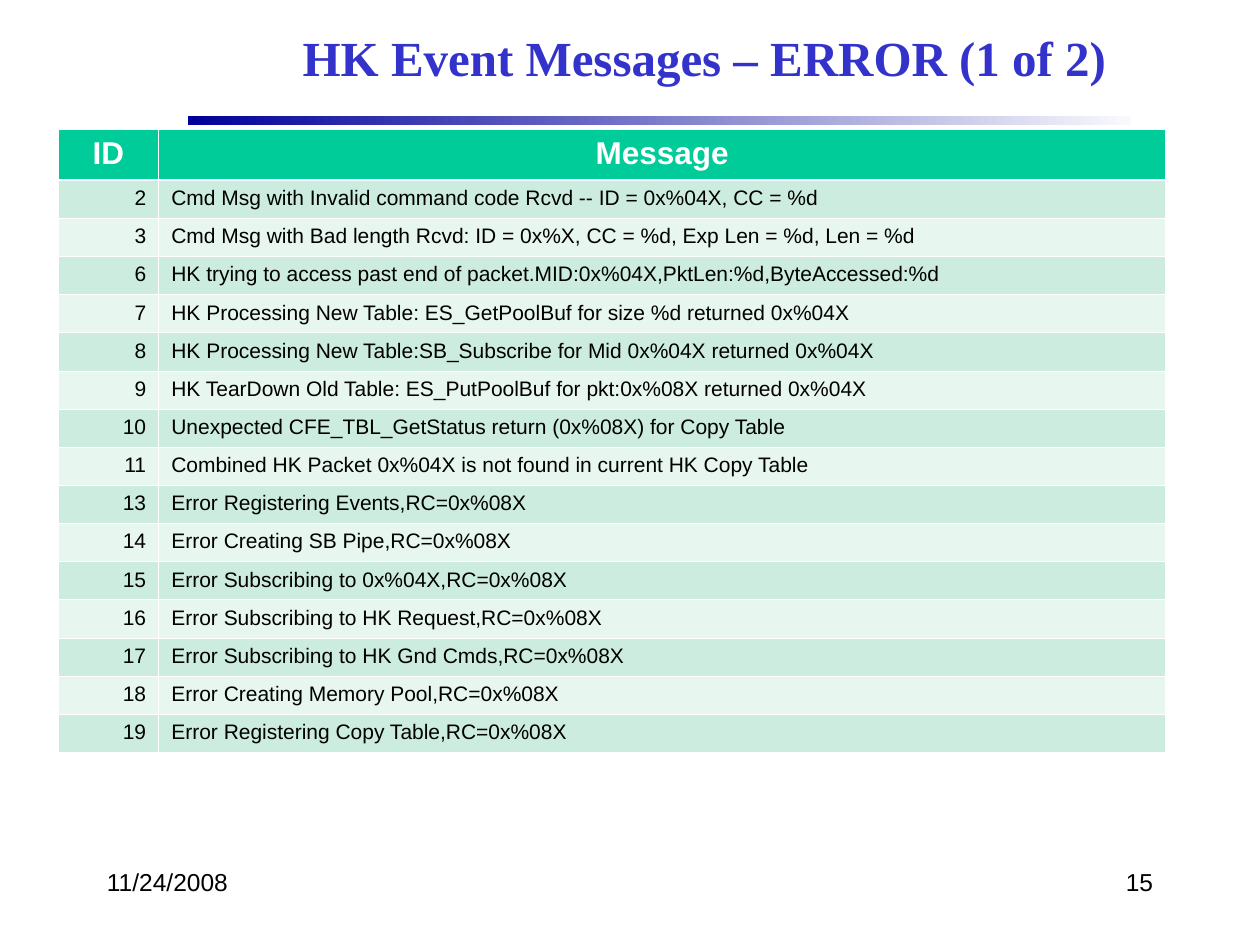
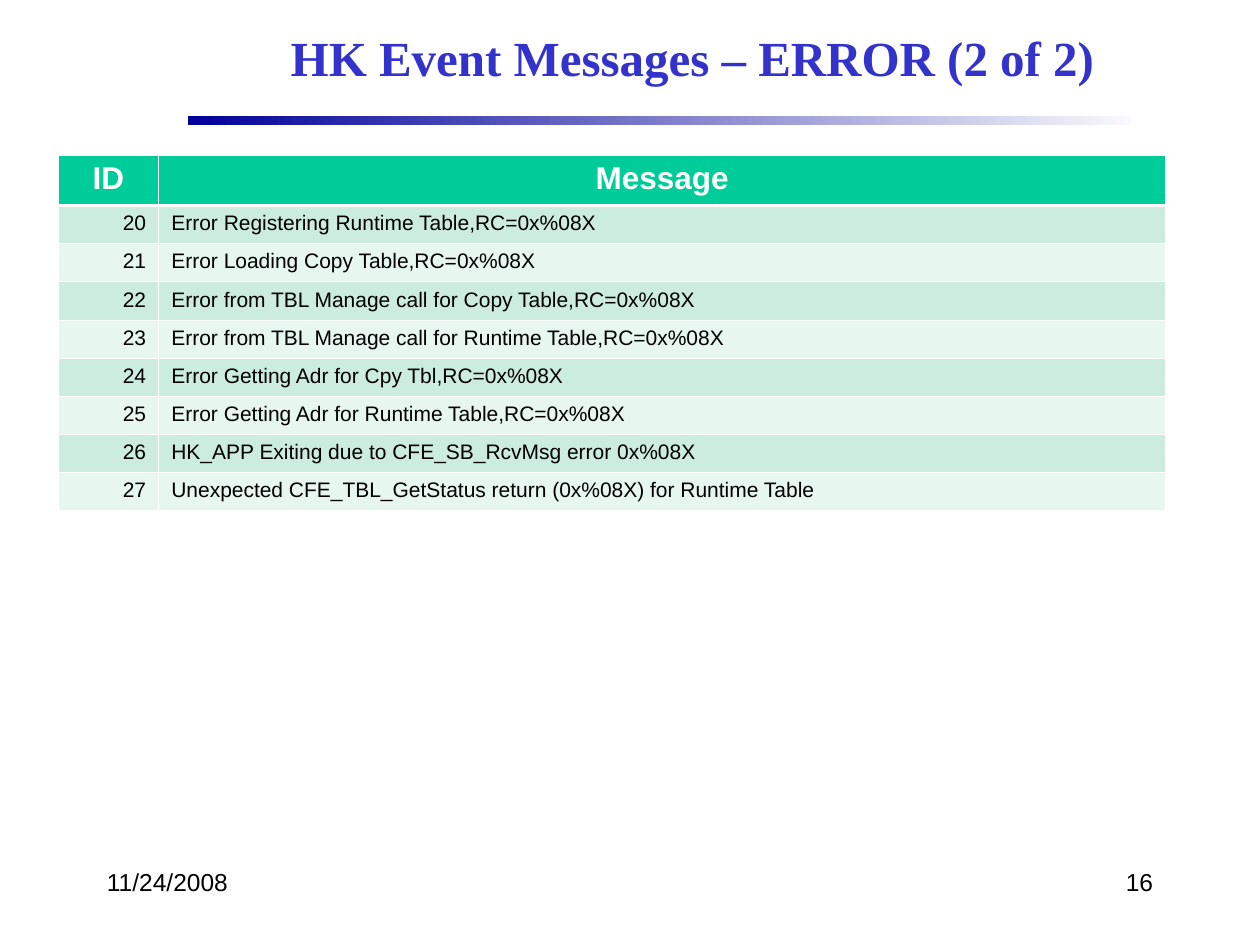
from lxml.etree import SubElement
from pptx import Presentation
from pptx.dml.color import RGBColor
from pptx.enum.shapes import MSO_SHAPE
from pptx.enum.text import MSO_ANCHOR, PP_ALIGN
from pptx.oxml.ns import qn
from pptx.util import Inches, Pt

DATE = "11/24/2008"
HEADINGS = ("ID", "Message")
# Title box and table top are in inches
PAGES = [
    {
        "title": "HK Event Messages – ERROR (1 of 2)",
        "title_left": 2.21, "title_width": 6.76, "table_top": 1.03,
        "number": 15,
        "messages": [
            (2, "Cmd Msg with Invalid command code Rcvd -- ID = 0x%04X, CC = %d"),
            (3, "Cmd Msg with Bad length Rcvd: ID = 0x%X, CC = %d, Exp Len = %d, Len = %d"),
            (6, "HK trying to access past end of packet.MID:0x%04X,PktLen:%d,ByteAccessed:%d"),
            (7, "HK Processing New Table: ES_GetPoolBuf for size %d returned 0x%04X"),
            (8, "HK Processing New Table:SB_Subscribe for Mid 0x%04X returned 0x%04X"),
            (9, "HK TearDown Old Table: ES_PutPoolBuf for pkt:0x%08X returned 0x%04X"),
            (10, "Unexpected CFE_TBL_GetStatus return (0x%08X) for Copy Table"),
            (11, "Combined HK Packet 0x%04X is not found in current HK Copy Table"),
            (13, "Error Registering Events,RC=0x%08X"),
            (14, "Error Creating SB Pipe,RC=0x%08X"),
            (15, "Error Subscribing to 0x%04X,RC=0x%08X"),
            (16, "Error Subscribing to HK Request,RC=0x%08X"),
            (17, "Error Subscribing to HK Gnd Cmds,RC=0x%08X"),
            (18, "Error Creating Memory Pool,RC=0x%08X"),
            (19, "Error Registering Copy Table,RC=0x%08X"),
        ],
    },
    {
        "title": "HK Event Messages – ERROR (2 of 2)",
        "title_left": 1.91, "title_width": 7.17, "table_top": 1.23,
        "number": 16,
        "messages": [
            (20, "Error Registering Runtime Table,RC=0x%08X"),
            (21, "Error Loading Copy Table,RC=0x%08X"),
            (22, "Error from TBL Manage call for Copy Table,RC=0x%08X"),
            (23, "Error from TBL Manage call for Runtime Table,RC=0x%08X"),
            (24, "Error Getting Adr for Cpy Tbl,RC=0x%08X"),
            (25, "Error Getting Adr for Runtime Table,RC=0x%08X"),
            (26, "HK_APP Exiting due to CFE_SB_RcvMsg error 0x%08X"),
            (27, "Unexpected CFE_TBL_GetStatus return (0x%08X) for Runtime Table"),
        ],
    },
]

WHITE = RGBColor(0xFF, 0xFF, 0xFF)
BLACK = RGBColor(0x00, 0x00, 0x00)
TITLE_BLUE = RGBColor(0x33, 0x33, 0xCC)
BAND_COLOURS = (RGBColor(0x00, 0x00, 0x99), RGBColor(0xF9, 0xF9, 0xFD))
HEADING_GREEN = RGBColor(0x00, 0xCC, 0x99)
ROW_GREENS = (RGBColor(0xCB, 0xEC, 0xDE), RGBColor(0xE7, 0xF6, 0xEF))

TITLE_FONT = {"name": "Times New Roman", "size": Pt(28), "bold": True}
FOOTER_FONT = {"name": "Arial", "size": Pt(14), "bold": False}
HEADING_FONT = {"name": "Arial", "size": Pt(18), "bold": True}
MESSAGE_FONT = {"name": "Arial", "size": Pt(12), "bold": False}

TABLE_LEFT = 0.46
COLUMN_WIDTHS = (0.8, 7.99)
HEADING_HEIGHT = Inches(0.4)
MESSAGE_HEIGHT = Pt(21.8)
THIN, THICK = Pt(0.45), Pt(1.47)


def write(frame, text, font, colour, align, anchor=MSO_ANCHOR.TOP):
    frame.word_wrap = True
    frame.vertical_anchor = anchor
    paragraph = frame.paragraphs[0]
    paragraph.alignment = align
    run = paragraph.add_run()
    run.text = text
    for attribute, value in font.items():
        setattr(run.font, attribute, value)
    run.font.color.rgb = colour


def add_text(slide, box, *style):
    write(slide.shapes.add_textbox(*map(Inches, box)).text_frame, *style)


def add_band(slide):
    band = slide.shapes.add_shape(
        MSO_SHAPE.RECTANGLE, *map(Inches, (1.49, 0.92, 7.49, 0.07)))
    band.shadow.inherit = False
    band.line.fill.background()
    band.fill.gradient()
    band.fill.gradient_angle = 0
    for position, (stop, colour) in enumerate(zip(band.fill.gradient_stops, BAND_COLOURS)):
        stop.position = position
        stop.color.rgb = colour


def set_borders(cell, top, bottom):
    properties = cell._tc.get_or_add_tcPr()
    for side, width in (("L", THIN), ("R", THIN), ("T", top), ("B", bottom)):
        line = SubElement(properties, qn(f"a:ln{side}"), w=str(int(width)))
        solid = SubElement(line, qn("a:solidFill"))
        SubElement(solid, qn("a:srgbClr"), val=str(WHITE))


def add_message_table(slide, top, messages):
    rows = [HEADINGS, *messages]
    heights = [HEADING_HEIGHT] + [MESSAGE_HEIGHT] * len(messages)
    table = slide.shapes.add_table(
        len(rows), len(HEADINGS), Inches(TABLE_LEFT), Inches(top),
        Inches(sum(COLUMN_WIDTHS)), sum(heights)).table
    for column, width in zip(table.columns, COLUMN_WIDTHS):
        column.width = Inches(width)
    for index, (row, height, entries) in enumerate(zip(table.rows, heights, rows)):
        row.height = height
        if index == 0:
            font, colour, fill = HEADING_FONT, WHITE, HEADING_GREEN
            aligns = (PP_ALIGN.CENTER, PP_ALIGN.CENTER)
        else:
            font, colour, fill = MESSAGE_FONT, BLACK, ROW_GREENS[(index - 1) % 2]
            aligns = (PP_ALIGN.RIGHT, PP_ALIGN.LEFT)
        for cell, entry, align in zip(row.cells, entries, aligns):
            set_borders(cell, THICK if index == 1 else THIN, THICK if index == 0 else THIN)
            cell.fill.solid()
            cell.fill.fore_color.rgb = fill
            write(cell.text_frame, str(entry), font, colour, align)


def main():
    deck = Presentation()
    deck.slide_width, deck.slide_height = Inches(10), Inches(7.5)
    blank = deck.slide_layouts[6]
    for page in PAGES:
        slide = deck.slides.add_slide(blank)
        add_band(slide)
        add_text(slide, (7.17, 6.83, 2.08, 0.5), str(page["number"]),
                 FOOTER_FONT, BLACK, PP_ALIGN.RIGHT)
        add_text(slide, (0.75, 6.83, 2.08, 0.5), DATE,
                 FOOTER_FONT, BLACK, PP_ALIGN.LEFT)
        add_text(slide, (page["title_left"], 0.08, page["title_width"], 0.75), page["title"],
                 TITLE_FONT, TITLE_BLUE, PP_ALIGN.CENTER, MSO_ANCHOR.MIDDLE)
        add_message_table(slide, page["table_top"], page["messages"])
    deck.save("out.pptx")


if __name__ == "__main__":
    main()
